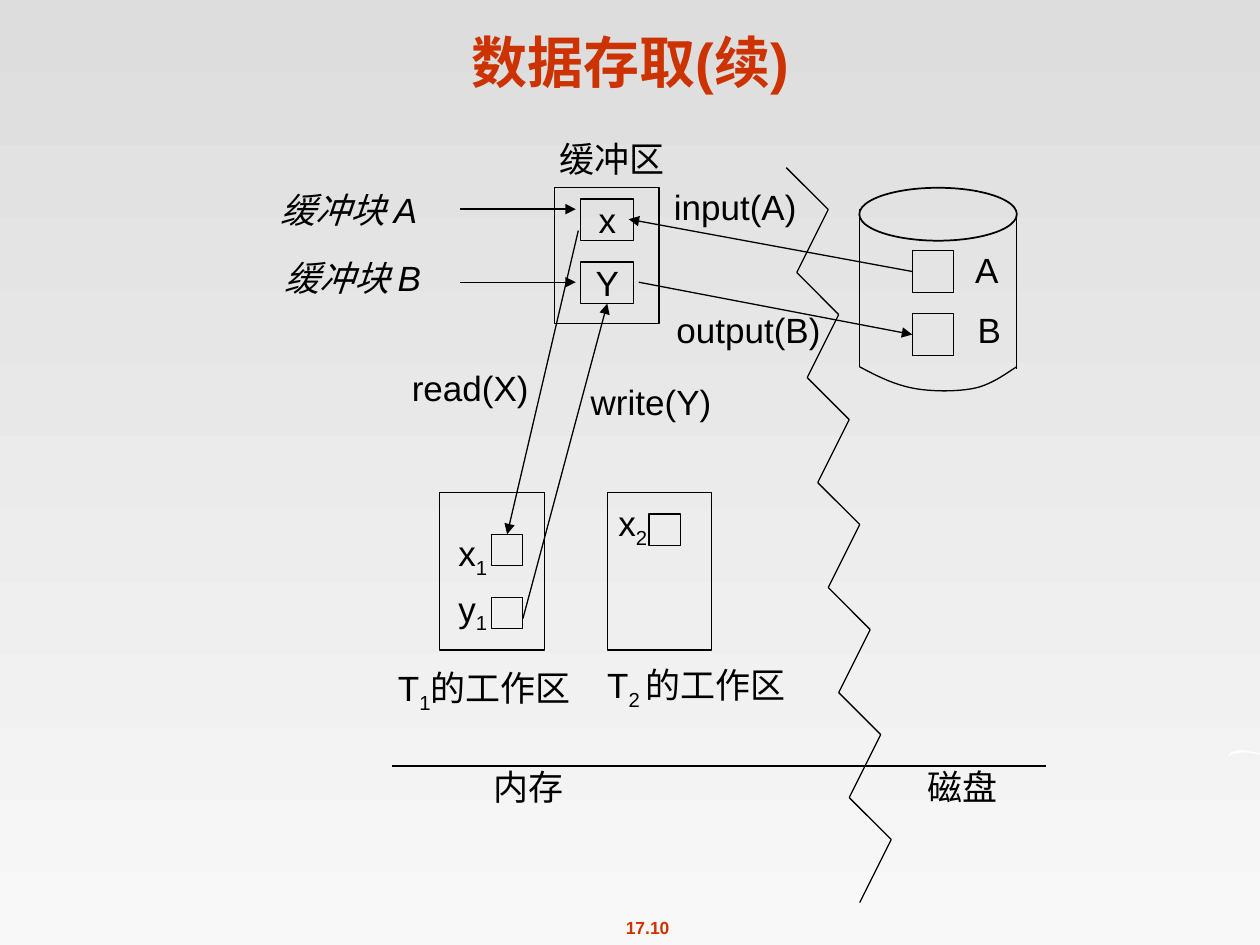
from lxml.etree import SubElement
from pptx import Presentation
from pptx.dml.color import RGBColor
from pptx.enum.shapes import MSO_CONNECTOR, MSO_SHAPE
from pptx.enum.text import MSO_ANCHOR, MSO_AUTO_SIZE, PP_ALIGN
from pptx.oxml.ns import qn
from pptx.util import Inches, Pt

BLACK, RED, WHITE = "000000", "CC3300", "FFFFFF"


def rgb(value):
    """Turn a hex string into a colour."""
    return RGBColor.from_string(value)


def add_runs(tf, runs, size=20, color=BLACK, bold=False, italic=False, align=PP_ALIGN.LEFT):
    """Fill a text frame with (text, is_subscript) runs in one paragraph."""
    p = tf.paragraphs[0]
    p.alignment = align
    for text, sub in runs:
        r = p.add_run()
        r.text = text
        f = r.font
        f.name, f.size, f.bold, f.italic = "Arial", Pt(size), bold, italic
        f.color.rgb = rgb(color)
        if sub:
            r._r.get_or_add_rPr().set("baseline", "-25000")


def label(s, x, y, w, h, *runs, wrap=False, anchor=MSO_ANCHOR.TOP, **style):
    """Place a text box that grows unless it wraps; a plain string is a normal run."""
    tf = s.shapes.add_textbox(Inches(x), Inches(y), Inches(w), Inches(h)).text_frame
    tf.word_wrap = wrap
    tf.auto_size = MSO_AUTO_SIZE.NONE if wrap else MSO_AUTO_SIZE.SHAPE_TO_FIT_TEXT
    tf.vertical_anchor = anchor
    add_runs(tf, [r if isinstance(r, tuple) else (r, False) for r in runs], **style)


def outline(sp, width=0.75):
    """Give a shape a black outline and no fill."""
    sp.shadow.inherit = False
    sp.fill.background()
    sp.line.color.rgb = rgb(BLACK)
    sp.line.width = Pt(width)


def box(s, x, y, w, h, text=None, kind=MSO_SHAPE.RECTANGLE, width=0.75):
    """Draw an outlined shape, with centred text if given."""
    sp = s.shapes.add_shape(kind, Inches(x), Inches(y), Inches(w), Inches(h))
    outline(sp, width)
    if text:
        tf = sp.text_frame
        tf.word_wrap = False
        tf.vertical_anchor = MSO_ANCHOR.MIDDLE
        add_runs(tf, [(text, False)], align=PP_ALIGN.CENTER)
    return sp


def line(s, start, end, arrow=False, joined_to=None, side=0, joined_from=None, from_side=0):
    """Draw a straight line, optionally with an arrowhead and joined ends."""
    c = s.shapes.add_connector(MSO_CONNECTOR.STRAIGHT, *(Inches(v) for v in (*start, *end)))
    c.line.color.rgb = rgb(BLACK)
    c.line.width = Pt(0.75)
    if joined_from is not None:
        c.begin_connect(joined_from, from_side)
    if joined_to is not None:
        c.end_connect(joined_to, side)
    if arrow:
        SubElement(c.line._get_or_add_ln(), qn("a:tailEnd"), type="triangle")
    SubElement(c._element.spPr, qn("a:effectLst"))


def freeform(s, points, close=False):
    """Build an outline through points given in inches."""
    pts = [(Inches(x), Inches(y)) for x, y in points]
    fb = s.shapes.build_freeform(*pts[0], scale=1.0)
    fb.add_line_segments(pts[1:], close=close)
    return fb.convert_to_shape()


def bezier(points, steps=12):
    """Sample a cubic curve, leaving out its first point."""
    for i in range(1, steps + 1):
        t = i / steps
        weights = ((1 - t) ** 3, 3 * t * (1 - t) ** 2, 3 * t * t * (1 - t), t ** 3)
        yield tuple(sum(k * pt[axis] for k, pt in zip(weights, points)) for axis in (0, 1))


def background(s):
    """Paint the grey gradient and the white sliver at the right edge."""
    fill = s.background.fill
    fill.gradient()
    fill.gradient_angle = 270
    for stop, color in zip(fill.gradient_stops, ("DDDDDD", "F8F8F8")):
        stop.color.rgb = rgb(color)
    sp = freeform(s, [(9.75, 6.01), (9.76, 5.98), (9.8, 5.96), (9.85, 5.95), (9.9, 5.96),
                      (9.95, 5.97), (10, 5.98), (9.99, 5.99), (9.95, 5.98), (9.88, 5.97),
                      (9.8, 5.98), (9.77, 5.99)], close=True)
    sp.shadow.inherit = False
    sp.fill.solid()
    sp.fill.fore_color.rgb = rgb(WHITE)
    sp.line.fill.background()


def buffer_area(s, x, y, w, h):
    """Draw the buffer with its two blocks and return the blocks."""
    box(s, x, y, w, h)
    label(s, x - 0.06, y - 0.45, 1.05, 0.44, "缓冲区")
    label(s, x - 2.27, y - 0.04, 1.42, 0.44, "缓冲块 A", italic=True)
    label(s, x - 2.24, y + 0.5, 1.35, 0.44, "缓冲块 B", italic=True)
    for dy in (0.17, 0.75):
        line(s, (x - 0.75, y + dy), (x + 0.17, y + dy), arrow=True)
    return [box(s, x + 0.21, y + 0.09 + 0.5 * i, 0.42, 0.33, t) for i, t in enumerate("xY")]


def disk(s, x, y, w, h):
    """Draw the disk cylinder with blocks A and B and return the blocks."""
    box(s, x, y, w, 0.42, kind=MSO_SHAPE.OVAL, width=1)
    for dx, dy in ((0, 0.17), (w, 0.19)):
        line(s, (x + dx, y + dy), (x + dx, y + dy + 1.25))
    rim = h - 0.19
    left = [(0, rim), (0.13, rim + 0.07), (0.27, rim + 0.14), (0.42, rim + 0.17)]
    right = [left[-1], (0.57, rim + 0.2), (0.78, rim + 0.2), (0.92, rim + 0.17)]
    tip = [right[-1], (1.06, rim + 0.14), (1.2, rim + 0.03), (w, rim)]
    curve = [left[0]] + [pt for part in (left, right, tip) for pt in bezier(part)]
    outline(freeform(s, [(x + dx, y + dy) for dx, dy in curve]))
    label(s, x + 0.82, y + 0.43, 0.38, 0.44, "A")
    label(s, x + 0.84, y + 0.91, 0.38, 0.44, "B")
    return [box(s, x + 0.42, y + 0.5 + 0.5 * i, 0.33, 0.33) for i in range(2)]


def workspace(s, x, y, w, h, variables):
    """Draw a work area; each variable is name, index, label and cell offsets."""
    box(s, x, y, w, h)
    cells = []
    for name, index, label_at, cell_at in variables:
        cells.append(box(s, x + cell_at[0], y + cell_at[1], 0.25, 0.25))
        label(s, x + label_at[0], y + label_at[1], 0.45, 0.48, name, (index, True))
    return cells


def boundary(s, x, y, periods):
    """Draw the zigzag between memory and disk."""
    for i in range(periods):
        top = (x + i / 12, y + i * 5 / 6)
        bend = (top[0] + 1 / 3, top[1] + 1 / 3)
        line(s, top, bend)
        line(s, bend, (x + (i + 1) / 12, y + (i + 1) * 5 / 6))


def data_access_slide(prs):
    """Compose the data access slide."""
    s = prs.slides.add_slide(prs.slide_layouts[6])
    background(s)
    label(s, 4.61, 7.23, 1.06, 0.27, "17.10", size=10, color=RED, bold=True,
          align=PP_ALIGN.CENTER)
    label(s, 0, 0, 10, 0.8, "数据存取(续)", wrap=True, anchor=MSO_ANCHOR.BOTTOM,
          size=32, color=RED, bold=True, align=PP_ALIGN.CENTER)
    _, block_y = buffer_area(s, 4.4, 1.49, 0.83, 1.08)
    disk_a, disk_b = disk(s, 6.82, 1.49, 1.25, 1.61)
    cell_x1, _ = workspace(s, 3.49, 3.91, 0.83, 1.25,
                           [("x", "1", (0.05, 0.26), (0.41, 0.33)),
                            ("y", "1", (0.05, 0.7), (0.41, 0.83))])
    workspace(s, 4.82, 3.91, 0.83, 1.25, [("x", "2", (-0.01, 0.02), (0.33, 0.17))])
    label(s, 3.06, 5.24, 1.69, 0.48, "T", ("1", True), "的工作区", wrap=True)
    label(s, 4.72, 5.22, 1.73, 0.82, "T", ("2 ", True), "的工作区", wrap=True)
    line(s, (7.24, 2.16), (4.99, 1.74), arrow=True, joined_from=disk_a, from_side=1)
    line(s, (5.07, 2.24), (7.24, 2.66), arrow=True, joined_to=disk_b, side=1)
    line(s, (4.59, 1.83), (4.01, 4.24), arrow=True, joined_to=cell_x1, side=0)
    line(s, (4.15, 4.91), (4.82, 2.41), arrow=True, joined_to=block_y, side=2)
    label(s, 5.25, 1.42, 1.19, 0.44, "input(A)")
    label(s, 5.27, 2.4, 1.42, 0.44, "output(B)")
    label(s, 3.17, 2.86, 1.13, 0.44, "read(X)")
    label(s, 4.59, 2.97, 1.16, 0.44, "write(Y)")
    boundary(s, 6.24, 1.33, 7)
    line(s, (3.11, 6.08), (8.3, 6.08))
    label(s, 3.82, 6.03, 0.77, 0.44, "内存")
    label(s, 7.26, 6.03, 0.77, 0.44, "磁盘")


def main():
    """Build and save the presentation."""
    prs = Presentation()
    prs.slide_width, prs.slide_height = Inches(10), Inches(7.5)
    data_access_slide(prs)
    prs.save("out.pptx")


if __name__ == "__main__":
    main()
